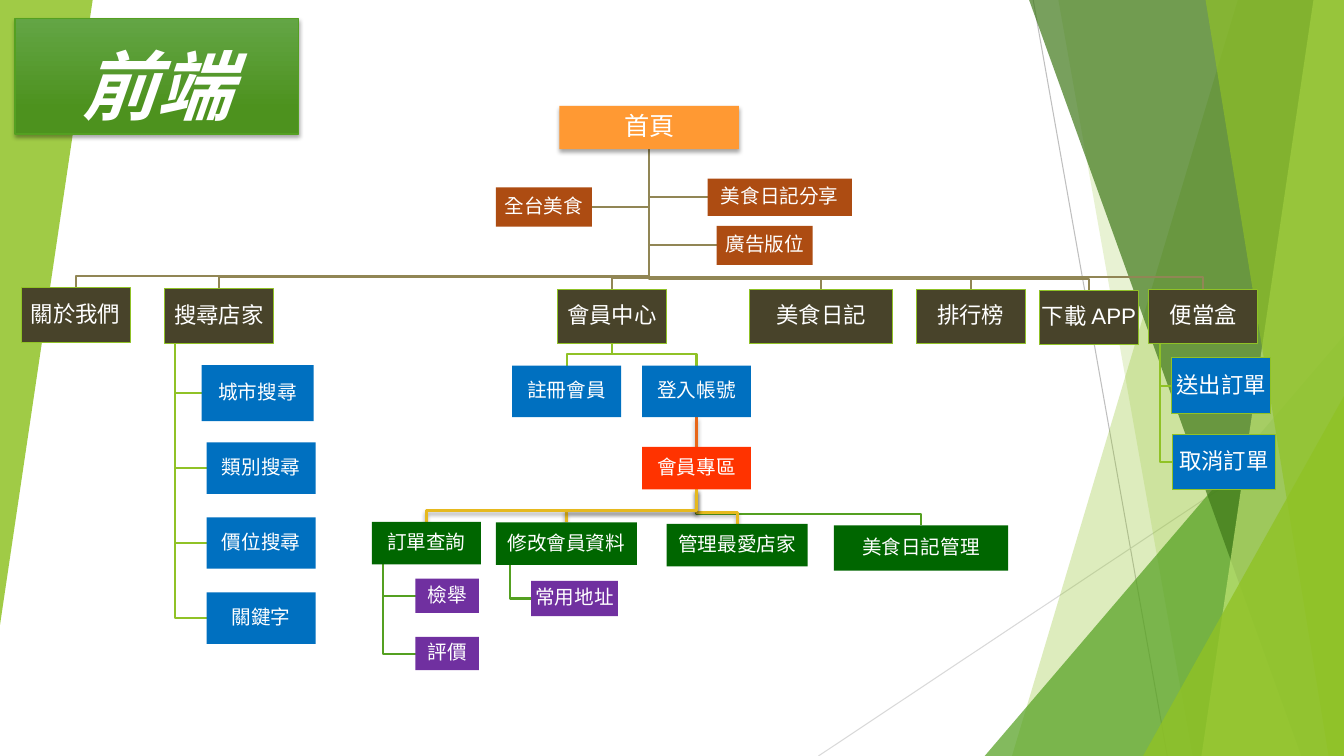
from pptx import Presentation
from pptx.dml.color import RGBColor
from pptx.enum.lang import MSO_LANGUAGE_ID
from pptx.enum.shapes import MSO_CONNECTOR, MSO_SHAPE
from pptx.enum.text import MSO_ANCHOR, PP_ALIGN
from pptx.oxml.ns import qn
from pptx.util import Pt
from lxml import etree

RECT, TRIANGLE = MSO_SHAPE.RECTANGLE, MSO_SHAPE.ISOSCELES_TRIANGLE
STRAIGHT = MSO_CONNECTOR.STRAIGHT
MIDDLE, BOTTOM, CENTER = MSO_ANCHOR.MIDDLE, MSO_ANCHOR.BOTTOM, PP_ALIGN.CENTER
CHINESE = MSO_LANGUAGE_ID.TRADITIONAL_CHINESE

W, H = 960, 540
BEND = 8.3  # height of an elbow above the child box
INSET = 1.5

C = {"white": "FFFFFF", "black": "000000", "lime": "90C226", "green": "54A021",
     "forest": "3F7819", "pale": "C0E474", "grey": "BFBFBF", "silver": "D9D9D9",
     "title top": "63A545", "title bottom": "4D921E", "amber": "FF9933",
     "rust": "AD4C12", "brown": "48432A", "blue": "0070C0", "red": "FF3300",
     "dark green": "006600", "purple": "7030A0", "olive": "918655",
     "gold": "E6B91E", "orange": "E76618"}

# Backdrop: x1, y1, x2, y2, colour
RAYS = [(738, 0, 833.8, H, "grey"), (W, 290.2, 584.6, H, "silver")]
# Bands reach the right edge: (top x, bottom x); triangles: (left, top, width, height, rotation)
BACKDROP = [
    ((884.2, 722.9), "lime", 30),
    ((756, 851.8), "lime", 20),
    ((703.4, 239.8, 256.6, 300.2, 0), "green", 72),
    ((735.1, 929.5), "forest", 70),
    ((938.2, 858.2), "pale", 70),
    ((861.1, 949), "lime", 65),
    ((816.5, 283, 143.5, 257, 0), "lime", 80),
    ((0, 0, 66.2, 446.4, 180), "lime", 85),
]
TITLE = ("前端", 10.8, 13, 202.3, 82.8)

# Box kinds: fill, text size, outlined, shadow
KINDS = {
    "home": ("amber", 18, False, True),
    "promo": ("rust", 14, False, False),
    "section": ("brown", 16, True, False),
    "page": ("blue", 14, False, False),
    "order": ("blue", 16, True, False),
    "zone": ("red", 14, False, False),
    "tool": ("dark green", 14, False, False),
    "detail": ("purple", 14, False, False),
}
# Parent, link colour, route, box kind, children (text, left, top, width, height)
TREE = [
    (None, None, None, "home", [("首頁", 399.6, 75.6, 128.2, 31)]),
    ("首頁", "olive", "middle", "promo", [
        ("全台美食", 354.2, 133.9, 68.6, 28),
        ("美食日記分享", 505.5, 127.6, 103, 26.7),
        ("廣告版位", 512, 161.3, 68.6, 28)]),
    ("首頁", "olive", "down", "section", [
        ("關於我們", 15.1, 205.7, 77.8, 38.9),
        ("搜尋店家", 117.4, 206.2, 77.8, 38.9),
        ("會員中心", 398.2, 206.8, 77.8, 38.9),
        ("美食日記", 535.5, 206.8, 102.2, 38.9),
        ("排行榜", 654.5, 206.8, 77.8, 38.9),
        ("下載 APP", 742.5, 207.4, 70.6, 38.9),
        ("便當盒", 820.6, 206.5, 77.8, 38.9)]),
    ("搜尋店家", "lime", "rail", "page", [
        ("城市搜尋", 144, 260.8, 80, 40),
        ("類別搜尋", 147.6, 316, 77.8, 36.7),
        ("價位搜尋", 147.6, 369.5, 77.8, 36.7),
        ("關鍵字", 147.6, 423.2, 77.8, 36.7)]),
    ("便當盒", "lime", "rail", "order", [
        ("送出訂單", 836.8, 255.6, 71, 40),
        ("取消訂單", 837.4, 310.3, 73.4, 39.6)]),
    ("會員中心", "lime", "down", "page", [
        ("註冊會員", 365.8, 261.2, 77.8, 36.7),
        ("登入帳號", 458.6, 261.2, 77.8, 36.7)]),
    ("登入帳號", "orange", "down", "zone", [("會員專區", 458.6, 319.2, 77.8, 30.4)]),
    ("會員專區", "green", "down", "tool", [("美食日記管理", 595.6, 375.2, 124.6, 32.4)]),
    ("會員專區", "gold", "down", "tool", [
        ("管理最愛店家", 476.2, 374.3, 100.8, 30.4),
        ("修改會員資料", 354.2, 373.2, 100.8, 30.4),
        ("訂單查詢", 265.7, 372.8, 77.8, 30.4)]),
    ("訂單查詢", "green", "rail", "detail", [
        ("檢舉", 296.8, 413.4, 45.2, 24.5),
        ("評價", 296.8, 455, 45.2, 23.8)]),
    ("修改會員資料", "green", "rail", "detail", [("常用地址", 379.4, 414.9, 62, 25.2)]),
]
SHADOWED_LINKS = ("gold", "orange")


def rgb(name):
    return RGBColor.from_string(C[name])


def add_alpha(color, percent):
    etree.SubElement(color, qn("a:alpha"), val=str(percent * 1000))


def set_shadow(shape, visible):
    """Replace the theme shadow by a soft drop shadow or by none."""
    props = shape._element.spPr
    effects = etree.SubElement(props, qn("a:effectLst"))
    if visible:
        drop = etree.SubElement(effects, qn("a:outerShdw"), blurRad=str(Pt(3)),
                                dist=str(Pt(2)), dir="5400000", rotWithShape="0")
        add_alpha(etree.SubElement(drop, qn("a:srgbClr"), val=C["black"]), 35)


def set_line(shape, color, width):
    shape.line.color.rgb = rgb(color)
    shape.line.width = Pt(width)


def add_polygon(shapes, points, close):
    pts = [(Pt(x), Pt(y)) for x, y in points]
    builder = shapes.build_freeform(*pts[0], scale=1.0)
    builder.add_line_segments(pts[1:], close=close)
    return builder.convert_to_shape()


def add_straight(shapes, x1, y1, x2, y2):
    return shapes.add_connector(STRAIGHT, Pt(x1), Pt(y1), Pt(x2), Pt(y2))


def write(s, text, size, font, anchor):
    tf = s.text_frame
    tf.word_wrap = True
    tf.vertical_anchor = anchor
    p = tf.paragraphs[0]
    p.text = text
    p.alignment = CENTER
    p.font.size = Pt(size)
    p.font.name = font
    p.font.language_id = CHINESE
    p.font.color.rgb = rgb("white")
    return tf, p


def add_backdrop(shapes):
    for *ends, color in RAYS:
        ray = add_straight(shapes, *ends)
        set_line(ray, color, 0.75)
        set_shadow(ray, False)
    for place, color, opacity in BACKDROP:
        if len(place) == 2:
            top_x, bottom_x = place
            s = add_polygon(shapes, [(top_x, 0), (W, 0), (W, H), (bottom_x, H)], True)
        else:
            *box, turn = place
            s = shapes.add_shape(TRIANGLE, *map(Pt, box))
            s.adjustments[0] = 1
            s.rotation = turn
        s.fill.solid()
        s.fill.fore_color.rgb = rgb(color)
        add_alpha(s._element.spPr.find(".//" + qn("a:srgbClr")), opacity)
        s.line.fill.background()
        set_shadow(s, False)


def add_title(shapes):
    text, *box = TITLE
    s = shapes.add_shape(RECT, *map(Pt, box))
    s.fill.gradient()
    s.fill.gradient_angle = 270
    stops = zip(s.fill.gradient_stops, ("title top", "title bottom"), (0, 0.78))
    for stop, color, position in stops:
        stop.color.rgb = rgb(color)
        stop.position = position
    set_line(s, "green", 1)
    set_shadow(s, True)
    p = write(s, text, 54, "Noto Sans CJK TC", BOTTOM)[1]
    p.font.bold = p.font.italic = True
    etree.SubElement(p.font._element, qn("a:ea"), typeface="Noto Sans CJK TC")


def link_points(parent, child, route):
    """Corners from a parent box to a child: down its middle, to its side, or off a left rail."""
    pl, pt, pw, ph = parent
    cl, ct, cw, ch = child
    x, y = pl + pw * (0.1 if route == "rail" else 0.5), pt + ph
    if route == "down":
        middle, bend = cl + cw / 2, ct - BEND
        if middle == x:
            return [(x, y), (x, ct)]
        return [(x, y), (x, bend), (middle, bend), (middle, ct)]
    side = cl if cl > x else cl + cw
    return [(x, y), (x, ct + ch / 2), (side, ct + ch / 2)]


def add_link(shapes, points, color):
    if len(points) == 2:
        s = add_straight(shapes, *points[0], *points[1])
    else:
        s = add_polygon(shapes, points, False)
        s.fill.background()
    shadowed = color in SHADOWED_LINKS
    set_line(s, color, 2 if shadowed else 1.5)
    set_shadow(s, shadowed)


def add_box(shapes, text, box, kind):
    fill, size, outlined, shadow = KINDS[kind]
    s = shapes.add_shape(RECT, *map(Pt, box))
    s.fill.solid()
    s.fill.fore_color.rgb = rgb(fill)
    if outlined:
        set_line(s, "lime", 0.75)
    else:
        s.line.fill.background()
    set_shadow(s, shadow)
    font = "Karla" if text in ("首頁", "關於我們") else "Arial"
    tf, p = write(s, text, size, font, MIDDLE)
    tf.margin_left = tf.margin_right = tf.margin_top = tf.margin_bottom = Pt(INSET)
    p.line_spacing = 0.9


def main():
    prs = Presentation()
    prs.slide_width, prs.slide_height = Pt(W), Pt(H)
    shapes = prs.slides.add_slide(prs.slide_layouts[6]).shapes
    add_backdrop(shapes)
    add_title(shapes)
    boxes = {text: box for *_, children in TREE for text, *box in children}
    for parent, color, route, _, children in TREE[1:]:
        for text, *box in children:
            add_link(shapes, link_points(boxes[parent], box, route), color)
    for *_, kind, children in TREE:
        for text, *box in children:
            add_box(shapes, text, box, kind)
    prs.save("out.pptx")


if __name__ == "__main__":
    main()
